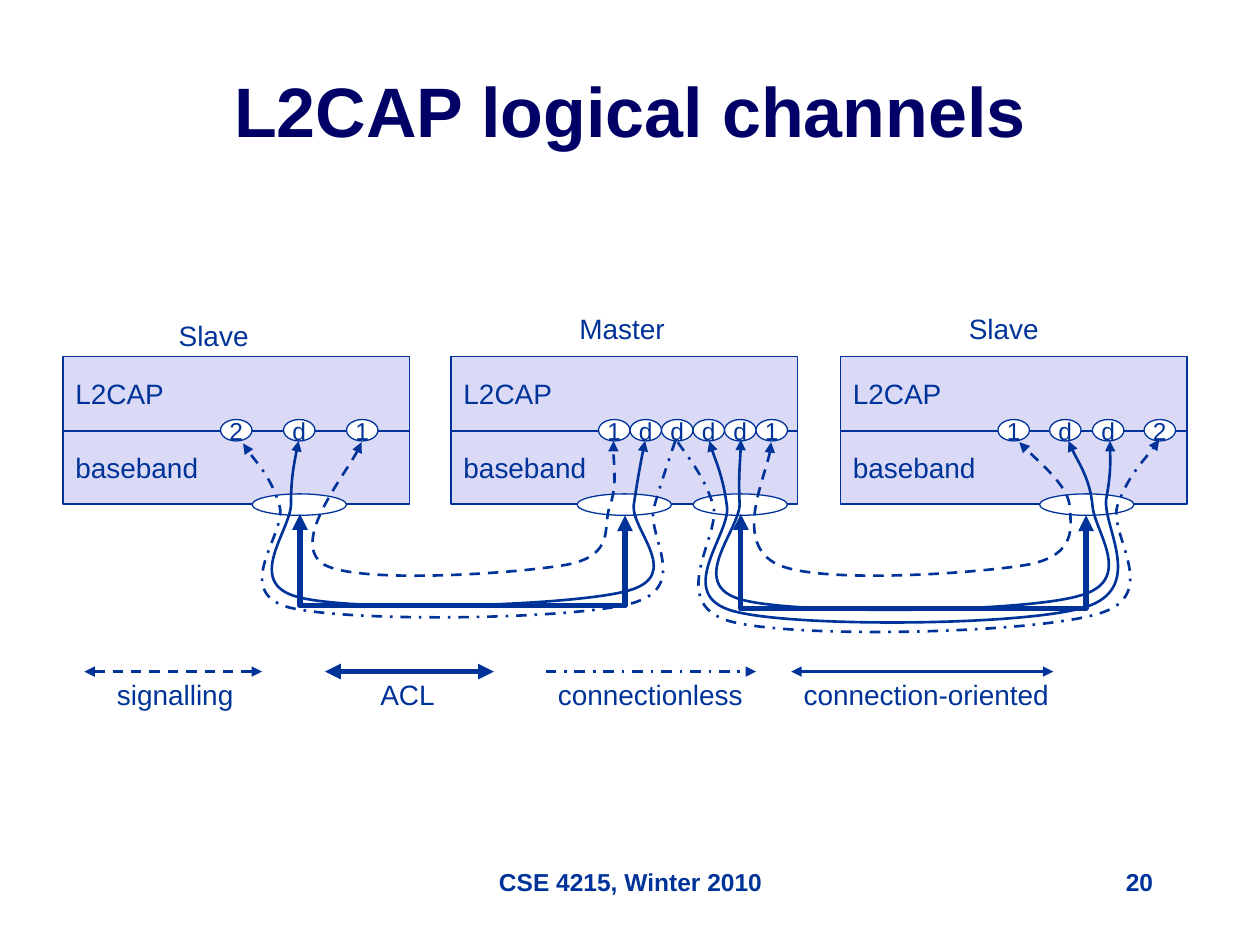
"""Build the slide on L2CAP logical channels."""
from lxml.etree import SubElement
from pptx import Presentation
from pptx.dml.color import RGBColor
from pptx.enum.dml import MSO_LINE
from pptx.enum.shapes import MSO_CONNECTOR, MSO_SHAPE
from pptx.enum.text import MSO_ANCHOR, MSO_AUTO_SIZE, PP_ALIGN
from pptx.oxml.ns import qn
from pptx.util import Inches, Pt

COLORS = {"title": "000066", "ink": "003399", "module": "DADAF6", "white": "FFFFFF"}
BOTH, END = ("headEnd", "tailEnd"), ("tailEnd",)
STYLES = {
    "signalling": (1.5, MSO_LINE.DASH, BOTH),
    "ACL": (3, None, BOTH),
    "connectionless": (1.5, MSO_LINE.DASH_DOT, END),
    "connection-oriented": (1.5, None, BOTH),
}
DEVICES = [(0.5, "Slave", 1.32, 2.48), (3.58, "Master", 4.5, 2.42), (6.67, "Slave", 7.59, 2.42)]
LAYERS = [("baseband", 3.42, 0.58), ("L2CAP", 2.83, 0.59)]
SOCKETS = [2, 5.5, 8.25, 4.58]
ACL_LINKS = [(2.38, 4.96, 0.74), (5.88, 8.62, 0.76)]
ENDPOINTS = [
    (1.75, "2"), (2.25, "d"), (2.75, "1"),
    (4.75, "1"), (5, "d"), (5.25, "d"), (5.5, "d"), (5.75, "d"), (6, "1"),
    (7.92, "1"), (8.33, "d"), (8.67, "d"), (9.08, "2"),
]
LEGEND = [
    ("signalling", 0.67, 2.08, 0.83, 1.12),
    ("ACL", 2.58, 3.92, 2.92, 0.63),
    ("connectionless", 4.33, 6, 4.33, 1.66),
    ("connection-oriented", 6.28, 8.36, 6.28, 2.14),
]
CHANNELS = [
    ("signalling", [(6.12, 3.51), (6.13, 3.67), (5.82, 4.31), (6.17, 4.48), (6.51, 4.64),
                    (7.78, 4.55), (8.17, 4.48), (8.55, 4.4), (8.5, 4.18), (8.49, 4.02),
                    (8.48, 3.86), (8.18, 3.61), (8.09, 3.51)]),
    ("signalling", [(2.87, 3.51), (2.82, 3.67), (2.3, 4.31), (2.57, 4.48), (2.85, 4.64),
                    (4.13, 4.55), (4.51, 4.48), (4.89, 4.4), (4.78, 4.18), (4.84, 4.02),
                    (4.9, 3.85), (4.86, 3.61), (4.87, 3.5)]),
    ("connectionless", [(5.38, 3.51), (5.43, 3.59), (5.59, 3.77), (5.66, 4.01), (5.73, 4.24),
                        (5.28, 4.78), (5.79, 4.93), (6.3, 5.07), (8.2, 5.03), (8.72, 4.87),
                        (9.23, 4.72), (8.79, 4.24), (8.87, 4.01), (8.95, 3.78), (9.13, 3.6),
                        (9.2, 3.49)]),
    ("connectionless", [(5.36, 3.5), (5.33, 3.59), (5.25, 3.82), (5.19, 4.03), (5.13, 4.25),
                        (5.49, 4.66), (5.01, 4.79), (4.53, 4.92), (2.76, 4.94), (2.29, 4.82),
                        (1.83, 4.69), (2.28, 4.23), (2.22, 4.02), (2.16, 3.8), (1.99, 3.62),
                        (1.93, 3.52)]),
    ("connection-oriented", [(5.12, 3.5), (5.1, 3.59), (5.06, 3.81), (5.03, 4.01), (5.01, 4.21),
                             (5.43, 4.57), (4.98, 4.69), (4.54, 4.81), (2.82, 4.86), (2.37, 4.74),
                             (1.93, 4.63), (2.31, 4.21), (2.31, 4), (2.31, 3.79), (2.35, 3.6),
                             (2.37, 3.5)]),
    ("connection-oriented", [(8.81, 3.5), (8.81, 3.58), (8.82, 3.74), (8.78, 3.96), (8.75, 4.18),
                             (9.1, 4.67), (8.61, 4.82), (8.11, 4.97), (6.29, 4.98), (5.82, 4.85),
                             (5.34, 4.72), (5.8, 4.24), (5.77, 4.02), (5.74, 3.79), (5.66, 3.61),
                             (5.63, 3.5)]),
    ("connection-oriented", [(8.48, 3.5), (8.51, 3.59), (8.65, 3.8), (8.67, 4.01), (8.68, 4.21),
                             (9.02, 4.61), (8.56, 4.73), (8.1, 4.86), (6.34, 4.88), (5.89, 4.76),
                             (5.44, 4.64), (5.87, 4.21), (5.87, 4), (5.86, 3.79), (5.88, 3.6),
                             (5.88, 3.49)]),
]


def color(name):
    """Return the named colour."""
    return RGBColor.from_string(COLORS[name])


def write(box, text, size, align=PP_ALIGN.LEFT, bold=False, ink="ink"):
    """Put one formatted line of text into a shape."""
    para = box.text_frame.paragraphs[0]
    para.alignment = align
    span = para.add_run()
    span.text = text
    span.font.name = "Arial"
    span.font.size = Pt(size)
    span.font.bold = bold
    span.font.color.rgb = color(ink)


def add_title(page, text):
    """Fill and place the title placeholder."""
    title = page.shapes.title
    title.left, title.top, title.width, title.height = map(Inches, (0.75, 0.5, 8.5, 0.75))
    title.text_frame.vertical_anchor = MSO_ANCHOR.BOTTOM
    write(title, text, 40, PP_ALIGN.CENTER, True, "title")


def add_label(page, text, left, top, width):
    """Add a one-line label that does not wrap."""
    box = page.shapes.add_textbox(Inches(left), Inches(top), Inches(width), Inches(0.37))
    box.text_frame.word_wrap = False
    box.text_frame.auto_size = MSO_AUTO_SIZE.SHAPE_TO_FIT_TEXT
    box.text_frame.margin_right = 0
    write(box, text, 16)


def add_footer(page, text, left, width, align):
    """Add a bold text box at the foot of the slide."""
    box = page.shapes.add_textbox(Inches(left), Inches(6.83), Inches(width), Inches(0.5))
    box.text_frame.word_wrap = True
    write(box, text, 14, align, True)


def add_block(page, kind, place, fill, text="", size=16, align=PP_ALIGN.LEFT):
    """Add an outlined preset shape with optional text."""
    block = page.shapes.add_shape(kind, *map(Inches, place))
    block.shadow.inherit = False
    block.fill.solid()
    block.fill.fore_color.rgb = color(fill)
    block.line.color.rgb = color("ink")
    block.line.width = Pt(0.75)
    if text:
        block.text_frame.word_wrap = False
        block.text_frame.vertical_anchor = MSO_ANCHOR.MIDDLE
        write(block, text, size, align)


def style_line(shape, kind):
    """Give a line the width, dash and arrowheads of its channel kind."""
    width, dash, ends = STYLES[kind]
    shape.line.color.rgb = color("ink")
    shape.line.width = Pt(width)
    if dash:
        shape.line.dash_style = dash
    outline = shape.line._get_or_add_ln()
    for end in ends:
        SubElement(outline, qn(f"a:{end}"), type="triangle")


def add_connector(page, kind, route, begin, end):
    """Add a connector without a shadow."""
    connector = page.shapes.add_connector(route, *map(Inches, begin + end))
    style_line(connector, kind)
    SubElement(connector._element.spPr, qn("a:effectLst"))
    return connector


def add_acl_link(page, left, right, drop):
    """Add a U-shaped link below two sockets as a turned elbow connector."""
    middle, center, half, thin = (left + right) / 2, 4.085, (right - left) / 2, 0.01
    link = add_connector(page, "ACL", MSO_CONNECTOR.ELBOW,
                         (middle + thin / 2, center - half), (middle - thin / 2, center + half))
    properties = link._element.spPr
    properties.find(qn("a:xfrm")).set("rot", "16200000")
    guides = properties.find(qn("a:prstGeom")).find(qn("a:avLst"))
    SubElement(guides, qn("a:gd"), name="adj1", fmla=f"val {round(drop / thin * 100000)}")


def add_channel(page, kind, points):
    """Add an open curve from a start point and triples of Bezier points."""
    start, *rest = [(Inches(x), Inches(y)) for x, y in points]
    builder = page.shapes.build_freeform(*start)
    builder.add_line_segments(rest, close=False)
    curve = builder.convert_to_shape()
    steps = list(curve._element.iter(qn("a:lnTo")))
    for first, second, third in zip(steps[::3], steps[1::3], steps[2::3]):
        first.tag = qn("a:cubicBezTo")
        for step in (second, third):
            first.append(step[0])
            step.getparent().remove(step)
    curve.shadow.inherit = False
    curve.fill.background()
    style_line(curve, kind)


def main():
    """Build and save the deck."""
    deck = Presentation()
    deck.slide_width, deck.slide_height = Inches(10), Inches(7.5)
    page = deck.slides.add_slide(deck.slide_layouts[5])
    add_title(page, "L2CAP logical channels")
    for left, name, name_left, name_top in DEVICES:
        for layer, top, height in LAYERS:
            add_block(page, MSO_SHAPE.RECTANGLE, (left, top, 2.75, height), "module", layer)
        add_label(page, name, name_left, name_top, 0.88 if name == "Master" else 0.75)
    for left in SOCKETS:
        add_block(page, MSO_SHAPE.OVAL, (left, 3.92, 0.75, 0.17), "white")
    for link in ACL_LINKS:
        add_acl_link(page, *link)
    for left, name in ENDPOINTS:
        add_block(page, MSO_SHAPE.OVAL, (left, 3.33, 0.25, 0.17), "white", name, 14, PP_ALIGN.CENTER)
    for kind, points in CHANNELS:
        add_channel(page, kind, points)
    for kind, begin, end, left, width in LEGEND:
        add_connector(page, kind, MSO_CONNECTOR.STRAIGHT, (begin, 5.33), (end, 5.33))
        add_label(page, kind, left, 5.33, width)
    add_footer(page, "CSE 4215, Winter 2010", 3.42, 3.17, PP_ALIGN.CENTER)
    add_footer(page, "20", 7.17, 2.08, PP_ALIGN.RIGHT)
    deck.save("out.pptx")


if __name__ == "__main__":
    main()
